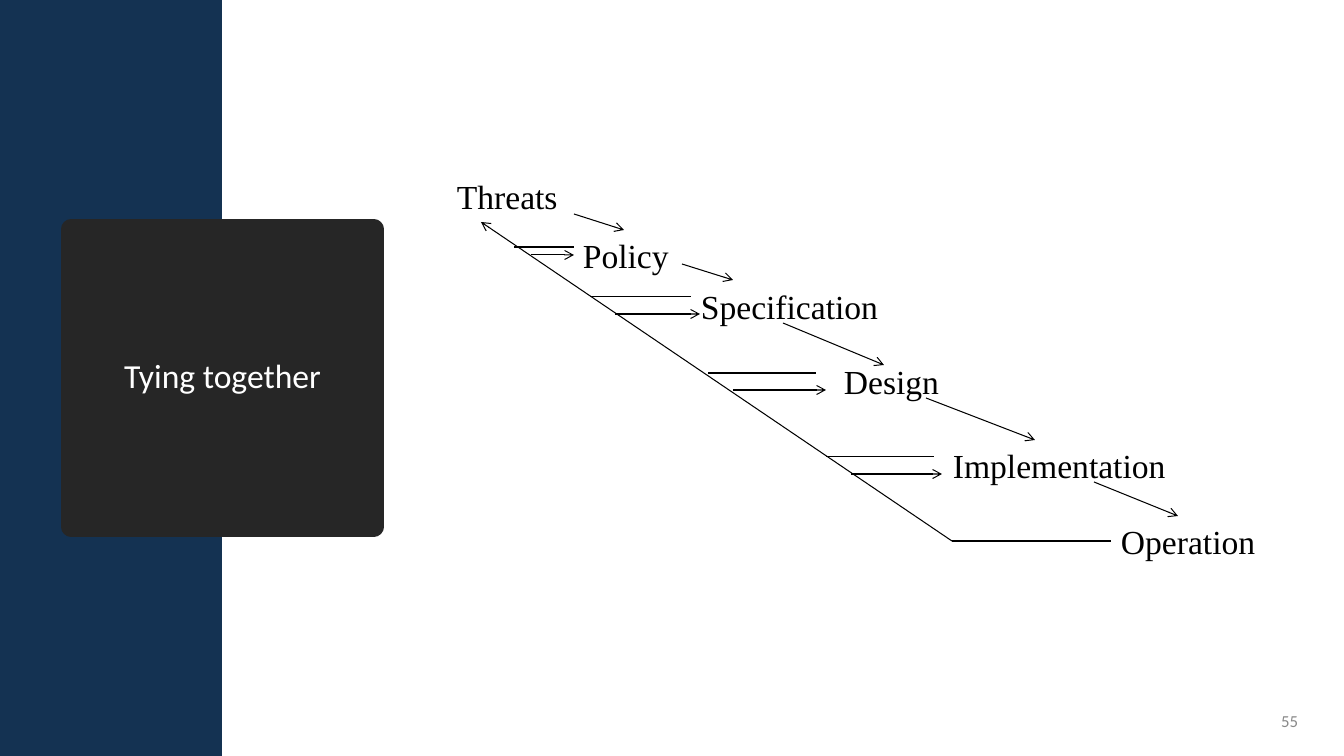
from dataclasses import dataclass

from lxml.etree import SubElement
from pptx import Presentation
from pptx.dml.color import RGBColor
from pptx.enum.shapes import MSO_CONNECTOR as Connector, MSO_SHAPE as Preset
from pptx.enum.text import MSO_ANCHOR as Anchor, MSO_AUTO_SIZE as AutoSize, PP_ALIGN as Align
from pptx.oxml.ns import qn
from pptx.shapes.autoshape import Shape
from pptx.slide import Slide
from pptx.text.text import _Paragraph as Paragraph
from pptx.util import Emu, Pt

EMU_PER_PX = 914400 / 100.8
COLORS = {
    "navy": "143252",
    "charcoal": "262626",
    "white": "FFFFFF",
    "gray": "898989",
    "black": "000000",
}


@dataclass(frozen=True)
class Stage:
    name: str
    left: int
    top: int
    width: int


@dataclass(frozen=True)
class Line:
    x1: int
    y1: int
    x2: int
    y2: int
    arrow: bool = True


@dataclass(frozen=True)
class Branch:
    out_x: int
    out_y: int
    out_end: int
    back_x: int
    back_y: int
    back_end: int

    def lines(self) -> list[Line]:
        return [
            Line(self.out_x, self.out_y, self.out_end, self.out_y, False),
            Line(self.back_x, self.back_y, self.back_end, self.back_y),
        ]


STAGES = [
    Stage("Threats", 447, 171, 122),
    Stage("Policy", 573, 230, 107),
    Stage("Specification", 691, 281, 198),
    Stage("Design", 834, 356, 116),
    Stage("Implementation", 943, 440, 233),
    Stage("Operation", 1111, 516, 156),
]
STEPS = [
    Line(574, 214, 624, 230),
    Line(682, 264, 733, 280),
    Line(783, 323, 884, 365),
    Line(926, 398, 1035, 440),
    Line(1094, 482, 1178, 516),
]
FEEDBACK = [Line(952, 541, 481, 222), Line(952, 541, 1111, 541, False)]
BRANCHES = [
    Branch(934, 457, 826, 851, 474, 942),
    Branch(816, 373, 708, 733, 390, 826),
    Branch(691, 297, 590, 615, 314, 700),
    Branch(574, 247, 514, 531, 255, 574),
]


def px(length: int) -> Emu:
    return Emu(round(length * EMU_PER_PX))


def color(name: str) -> RGBColor:
    return RGBColor.from_string(COLORS[name])


def write(para: Paragraph, text: str, size: int, face: str, ink: str) -> None:
    para.text = text
    para.font.size = Pt(size)
    para.font.name = face
    para.font.color.rgb = color(ink)


def add_block(page: Slide, left: int, top: int, width: int, height: int, fill: str) -> Shape:
    block = page.shapes.add_shape(Preset.RECTANGLE, px(left), px(top), px(width), px(height))
    block.shadow.inherit = False
    block.fill.solid()
    block.fill.fore_color.rgb = color(fill)
    block.line.fill.background()
    return block


def add_title(page: Slide) -> None:
    card = add_block(page, 71, 229, 303, 298, "charcoal")
    card.line.color.rgb = color("charcoal")
    card.line.width = Pt(13.75)
    SubElement(card.line._get_or_add_ln(), qn("a:round"))
    card.text_frame.word_wrap = True
    card.text_frame.vertical_anchor = Anchor.MIDDLE
    para = card.text_frame.paragraphs[0]
    para.alignment = Align.CENTER
    para.line_spacing = 0.9
    write(para, "Tying together", 24, "Calibri", "white")


def add_page_number(page: Slide) -> None:
    box = page.shapes.add_textbox(px(1247), px(701), px(61), px(40))
    box.text_frame.word_wrap = True
    box.text_frame.vertical_anchor = Anchor.MIDDLE
    para = box.text_frame.paragraphs[0]
    para.alignment = Align.RIGHT
    para.space_after = Pt(6)
    write(para, "55", 12, "Calibri", "gray")


def add_stage(page: Slide, stage: Stage) -> None:
    box = page.shapes.add_textbox(px(stage.left), px(stage.top), px(stage.width), px(50))
    box.text_frame.word_wrap = False
    box.text_frame.auto_size = AutoSize.SHAPE_TO_FIT_TEXT
    write(box.text_frame.paragraphs[0], stage.name, 24, "Times New Roman", "black")


def add_line(page: Slide, line: Line) -> None:
    connector = page.shapes.add_connector(
        Connector.STRAIGHT, px(line.x1), px(line.y1), px(line.x2), px(line.y2)
    )
    connector.line.color.rgb = color("black")
    connector.line.width = Pt(0.75)
    if line.arrow:
        SubElement(connector.line._get_or_add_ln(), qn("a:tailEnd"), type="arrow")
    SubElement(connector._element.spPr, qn("a:effectLst"))


def main() -> None:
    deck = Presentation()
    deck.slide_width, deck.slide_height = px(1344), px(756)
    page = deck.slides.add_slide(deck.slide_layouts[6])
    add_block(page, 0, 0, 222, 756, "navy")
    add_title(page)
    add_page_number(page)
    for stage in STAGES:
        add_stage(page, stage)
    for line in STEPS + FEEDBACK:
        add_line(page, line)
    for branch in BRANCHES:
        for line in branch.lines():
            add_line(page, line)
    deck.save("out.pptx")


if __name__ == "__main__":
    main()
